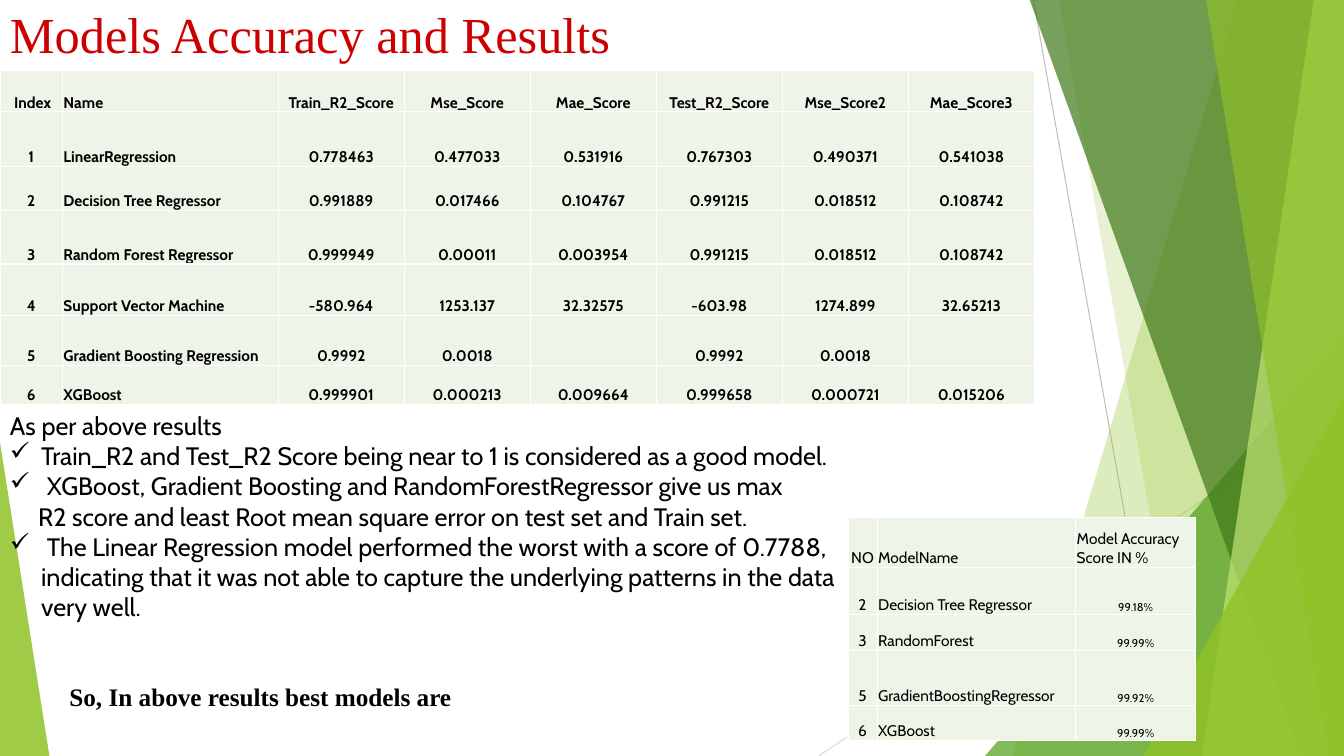
"""Build the model accuracy and results slide."""
from lxml import etree
from pptx import Presentation
from pptx import util as u
from pptx.dml.color import RGBColor
from pptx.enum import shapes, text
from pptx.oxml.ns import qn

Inches, Pt = u.Inches, u.Pt
SCORES = [
    ["Index", "Name", "Train_R2_Score", "Mse_Score", "Mae_Score", "Test_R2_Score", "Mse_Score2", "Mae_Score3"],
    ["1", "LinearRegression", "0.778463", "0.477033", "0.531916", "0.767303", "0.490371", "0.541038"],
    ["2", "Decision Tree Regressor", "0.991889", "0.017466", "0.104767", "0.991215", "0.018512", "0.108742"],
    ["3", "Random Forest Regressor", "0.999949", "0.00011", "0.003954", "0.991215", "0.018512", "0.108742"],
    ["4", "Support Vector Machine", "-580.964", "1253.137", "32.32575", "-603.98", "1274.899", "32.65213"],
    ["5", "Gradient Boosting Regression", "0.9992", "0.0018", "", "0.9992", "0.0018", ""],
    ["6", "XGBoost", "0.999901", "0.000213", "0.009664", "0.999658", "0.000721", "0.015206"],
]
BEST = [
    ["NO", "ModelName", "Model Accuracy Score IN %"],
    ["2", "Decision Tree Regressor", "99.18%"],
    ["3", "RandomForest", "99.99%"],
    ["5", "GradientBoostingRegressor", "99.92%"],
    ["6", "XGBoost", "99.99%"],
]
FINDINGS = [
    ("As per above results", 0, False),
    ("Train_R2 and Test_R2 Score being near to 1 is considered as a good model.", 0.31, True),
    (" XGBoost, Gradient Boosting and RandomForestRegressor give us max", 0.31, True),
    ("R2 score and least Root mean square error on test set and Train set.", 0.28, False),
    (" The Linear Regression model performed the worst with a score of 0.7788, indicating that it was "
     "not able to capture the underlying patterns in the data very well.", 0.31, True),
]


class Deck:
    COLORS = {"green": "90C226", "leaf": "54A021", "forest": "3F7819", "lime": "C0E474", "red": "CC0000",
              "black": "000000", "cell": "EEF4E8", "white": "FFFFFF", "gray": "BFBFBF", "pale": "D9D9D9"}
    SANS, SERIF = "Cabin", "Times New Roman"

    def __init__(self):
        self.prs = Presentation()
        self.prs.slide_width, self.prs.slide_height = Inches(13.33), Inches(7.5)
        self.s = self.prs.slides.add_slide(self.prs.slide_layouts[6])

    def rgb(self, name):
        return RGBColor.from_string(self.COLORS[name])

    def line(self, x1, y1, x2, y2, color):
        c = self.s.shapes.add_connector(shapes.MSO_CONNECTOR.STRAIGHT, *map(Inches, (x1, y1, x2, y2)))
        c.line.color.rgb = self.rgb(color)
        c.line.width = Pt(0.75)
        etree.SubElement(c._element.spPr, qn("a:effectLst"))

    def paint(self, sp, color, alpha):
        sp.shadow.inherit = False
        sp.line.fill.background()
        sp.fill.solid()
        sp.fill.fore_color.rgb = self.rgb(color)
        clr = sp._element.spPr.find(qn("a:solidFill"))[0]
        etree.SubElement(clr, qn("a:alpha"), val=str(alpha * 1000))

    def band(self, top_left, top_right, bottom_left, color, alpha):
        points = [(top_right, -0.01), (13.33, 7.5), (bottom_left, 7.5)]
        fb = self.s.shapes.build_freeform(Inches(top_left), Inches(-0.01), scale=1.0)
        fb.add_line_segments([(Inches(x), Inches(y)) for x, y in points], close=True)
        self.paint(fb.convert_to_shape(), color, alpha)

    def triangle(self, x, y, w, h, apex, color, alpha):
        sp = self.s.shapes.add_shape(shapes.MSO_SHAPE.ISOSCELES_TRIANGLE, *map(Inches, (x, y, w, h)))
        sp.adjustments[0] = apex
        self.paint(sp, color, alpha)

    def run(self, p, words, size, font=SANS, color="black", bold=False):
        r = p.add_run()
        r.text = words
        r.font.size, r.font.name, r.font.bold = Pt(size), font, bold
        r.font.color.rgb = self.rgb(color)

    def indent(self, p, left, bullet=False):
        pPr = p._p.get_or_add_pPr()
        pPr.set("marL", str(Inches(left)))
        pPr.set("indent", str(-Inches(left) if bullet else 0))
        if bullet:
            etree.SubElement(pPr, qn("a:buChar"), char="✓")

    def textbox(self, x, y, w, h, paragraphs, **style):
        tf = self.s.shapes.add_textbox(*map(Inches, (x, y, w, h))).text_frame
        tf.word_wrap = True
        for i, (words, left, bullet) in enumerate(paragraphs):
            p = tf.add_paragraph() if i else tf.paragraphs[0]
            self.indent(p, left, bullet)
            self.run(p, words, **style)

    def cell(self, cell, words, centered, size, bold, left):
        cell.fill.solid()
        cell.fill.fore_color.rgb = self.rgb("cell")
        cell.vertical_anchor = text.MSO_ANCHOR.BOTTOM
        cell.margin_left = cell.margin_right = cell.margin_top = Inches(0.01)
        cell.margin_bottom = 0
        p = cell.text_frame.paragraphs[0]
        p.alignment = text.PP_ALIGN.CENTER if centered else text.PP_ALIGN.LEFT
        if left:
            self.indent(p, left)
        if words:
            self.run(p, words, size, bold=bold)
        tcPr = cell._tc.get_or_add_tcPr()
        for i, side in enumerate(("lnL", "lnR", "lnT", "lnB")):
            ln = etree.Element(qn("a:" + side), w=str(Pt(1)))
            fill = etree.SubElement(ln, qn("a:solidFill"))
            etree.SubElement(fill, qn("a:srgbClr"), val=self.COLORS["white"])
            tcPr.insert(i, ln)

    def table(self, x, y, cols, rows, data, style):
        box = map(Inches, (x, y, sum(cols), sum(rows)))
        t = self.s.shapes.add_table(len(rows), len(cols), *box).table
        t.first_row = t.horz_banding = False
        for col, w in zip(t.columns, cols):
            col.width = Inches(w)
        for row, h in zip(t.rows, rows):
            row.height = Inches(h)
        for i, values in enumerate(data):
            for j, words in enumerate(values):
                self.cell(t.cell(i, j), words, **style(i, j))


def score_style(i, j):
    index_head = i == j == 0
    return {"centered": j != 1 and not index_head, "size": 11, "bold": True, "left": 0.13 if index_head else 0}


def best_style(i, j):
    percent = i > 0 and j == 2
    return {"centered": j == 0 or percent, "size": 8 if percent else 11, "bold": False, "left": 0}


def main():
    d = Deck()
    d.line(10.25, 0, 11.58, 7.5, "gray")
    d.line(13.33, 4.03, 8.12, 7.5, "pale")
    d.band(12.28, 13.33, 10.04, "green", 30)
    d.band(10.5, 13.33, 11.83, "green", 20)
    d.triangle(9.77, 3.33, 3.56, 4.17, 1, "leaf", 72)
    d.band(10.21, 13.33, 12.91, "forest", 70)
    d.band(13.03, 13.33, 11.92, "lime", 70)
    d.band(11.96, 13.33, 13.18, "green", 65)
    d.triangle(11.34, 3.93, 1.99, 3.57, 1, "green", 80)
    d.triangle(0, 4.39, 0.49, 3.11, 0, "green", 85)

    d.textbox(0, -0.02, 6.97, 0.7, [("Models Accuracy and Results", 0, False)],
              size=36, font=d.SERIF, color="red")
    d.table(0, 0.7, [0.62, 2.14] + [1.25] * 6, [0.41, 0.54, 0.44, 0.53, 0.51, 0.5, 0.38], SCORES, score_style)
    d.textbox(0, 4.02, 8.72, 2.83, FINDINGS, size=18)
    d.table(8.41, 5.13, [0.29, 1.97, 1.19], [0.5, 0.47, 0.35, 0.55, 0.35], BEST, best_style)
    d.textbox(0.59, 6.71, 5.67, 0.5, [("So, In above results best models are", 0, False)],
              size=18, font=d.SERIF, bold=True)
    d.prs.save("out.pptx")


if __name__ == "__main__":
    main()
